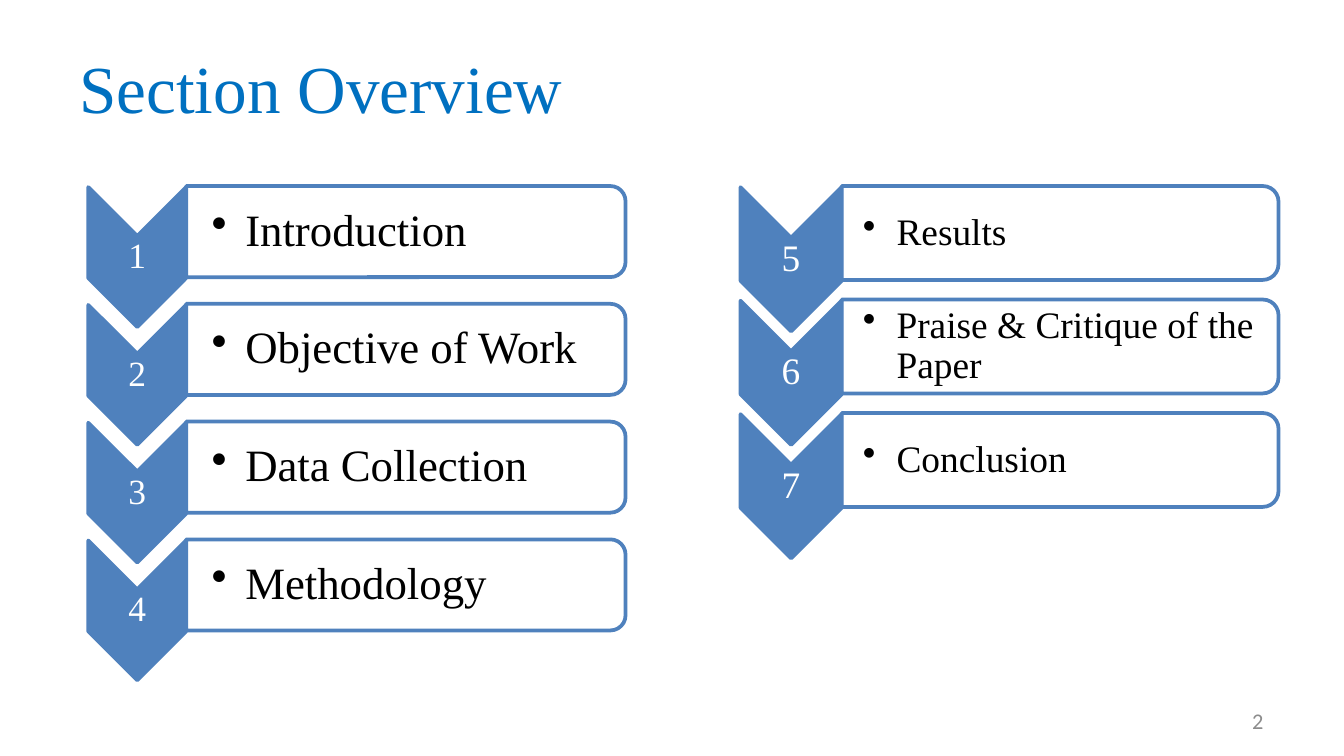
from dataclasses import dataclass

from lxml.etree import SubElement
from pptx import Presentation
from pptx.dml.color import RGBColor
from pptx.enum.shapes import MSO_SHAPE as Shape
from pptx.enum.text import MSO_ANCHOR as Anchor, PP_ALIGN as Align
from pptx.oxml.ns import qn
from pptx.util import Pt

COLORS = {
    "title": "0070C0",
    "accent": "4F81BD",
    "white": "FFFFFF",
    "black": "000000",
    "muted": "8C8C8C",
}
SERIF = "Times New Roman"


@dataclass
class Column:
    left: float
    chevron_width: float
    chevron_height: float
    box_width: float
    box_height: float
    pitch: float
    inset: float
    number_size: int
    text_size: int
    first: int
    topics: tuple


def color(name):
    return RGBColor.from_string(COLORS[name])


def write(frame, text, size, ink, font=SERIF, align=Align.LEFT, spacing=None,
          insets=(7.2, 3.6, 7.2, 3.6), bullet=False):
    frame.word_wrap = True
    frame.vertical_anchor = Anchor.MIDDLE
    frame.margin_left, frame.margin_top, frame.margin_right, frame.margin_bottom = map(Pt, insets)
    para = frame.paragraphs[0]
    para.alignment = align
    if spacing:
        para.line_spacing = spacing
    if bullet:
        props = para._p.get_or_add_pPr()
        props.set("marL", str(Pt(18)))
        props.set("indent", str(-Pt(18)))
        SubElement(props, qn("a:buChar")).set("char", "•")
    span = para.add_run()
    span.text = text
    span.font.name = font
    span.font.size = Pt(size)
    span.font.color.rgb = color(ink)


class SlideBuilder:
    def __init__(self, page):
        self.page = page
        self.target = page.shapes

    def text(self, left, top, width, height, text, **style):
        box = self.target.add_textbox(Pt(left), Pt(top), Pt(width), Pt(height))
        write(box.text_frame, text, **style)

    def turned(self, kind, left, top, width, height, fill, alpha=None):
        middle_x, middle_y = left + width / 2, top + height / 2
        shape = self.target.add_shape(
            kind, Pt(middle_x - height / 2), Pt(middle_y - width / 2), Pt(height), Pt(width))
        shape.rotation = 90
        shape.shadow.inherit = False
        shape.fill.solid()
        shape.fill.fore_color.rgb = color(fill)
        if alpha:
            tint = shape.element.spPr.find(qn("a:solidFill")).find(qn("a:srgbClr"))
            SubElement(tint, qn("a:alpha")).set("val", str(alpha * 1000))
        shape.line.color.rgb = color("accent")
        shape.line.width = Pt(2)

    def column(self, col, top=100):
        self.target = self.page.shapes.add_group_shape().shapes
        box_left = col.left + col.chevron_width
        notch = col.chevron_width / 2
        for index, topic in enumerate(col.topics):
            y = top + index * col.pitch
            self.turned(Shape.CHEVRON, col.left, y + 0.3, col.chevron_width,
                        col.chevron_height, "accent")
            self.text(col.left, y + 0.3 + notch, col.chevron_width,
                      col.chevron_height - 2 * notch, str(col.first + index),
                      size=col.number_size, ink="white", align=Align.CENTER,
                      spacing=0.9, insets=(0.9,) * 4)
            self.turned(Shape.ROUND_2_SAME_RECTANGLE, box_left, y - 0.3,
                        col.box_width, col.box_height, "white", alpha=90)
            self.text(box_left, y + 2.1, col.box_width - 2.3, col.box_height - 4.9,
                      topic, size=col.text_size, ink="black", spacing=0.9,
                      insets=(col.inset, 1.2, 1.2, 1.2), bullet=True)
        self.target = self.page.shapes


def main():
    deck = Presentation()
    deck.slide_width, deck.slide_height = Pt(720), Pt(405)
    slide = SlideBuilder(deck.slides.add_slide(deck.slide_layouts[6]))
    slide.text(35.5, 10.3, 649, 72, "Section Overview", size=36, ink="title")
    slide.column(Column(
        left=47.3, chevron_width=52.4, chevron_height=74.9, box_width=235.4,
        box_height=48.8, pitch=63.1, inset=13.7, number_size=19, text_size=24, first=1,
        topics=("Introduction", "Objective of Work", "Data Collection", "Methodology")))
    slide.column(Column(
        left=396.7, chevron_width=54.2, chevron_height=77.2, box_width=234,
        box_height=50.3, pitch=60.8, inset=11.4, number_size=20, text_size=20, first=5,
        topics=("Results", "Praise & Critique of the Paper", "Conclusion")))
    slide.text(516, 375.4, 168, 21.6, "2", size=12, ink="muted", font="Calibri",
               align=Align.RIGHT)
    deck.save("out.pptx")


if __name__ == "__main__":
    main()
